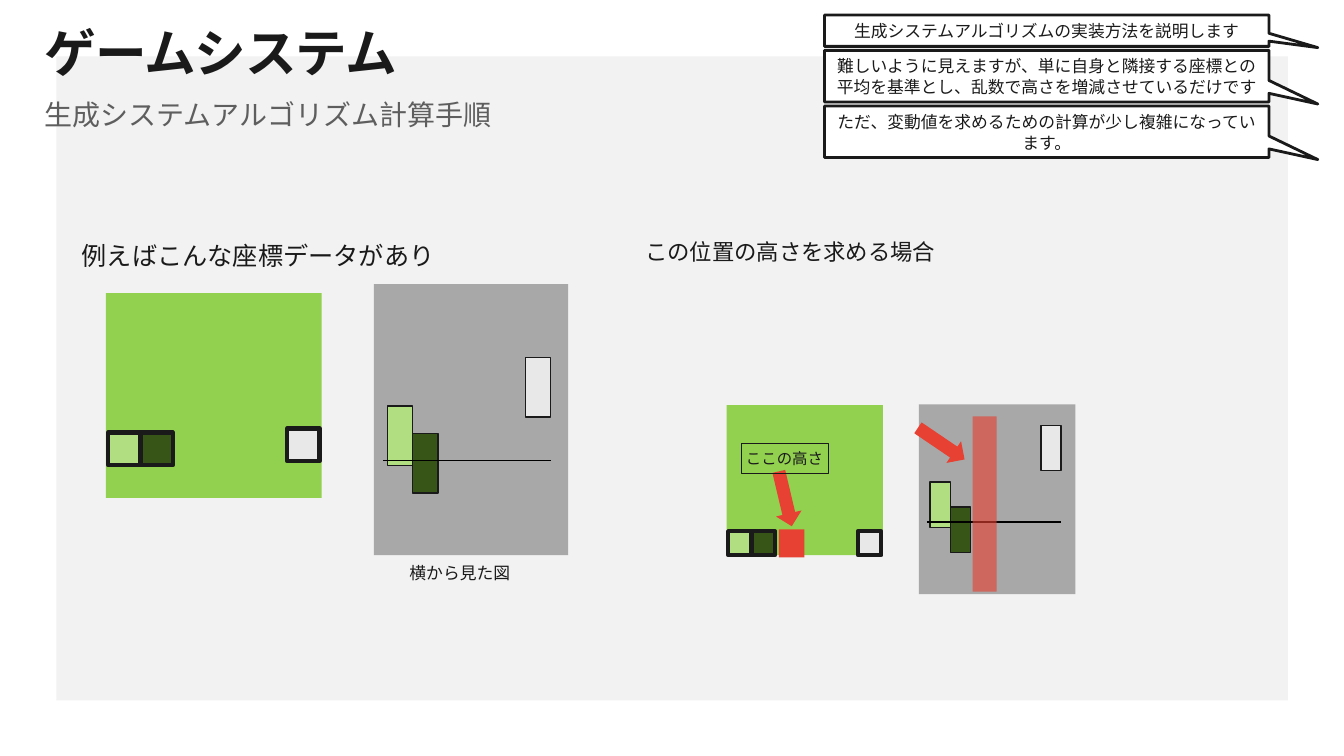
from lxml import etree
from pptx import Presentation
from pptx import util as u
from pptx.dml.color import RGBColor
from pptx.enum import shapes, text
from pptx.oxml.ns import qn

FONT = "Noto Sans CJK JP"
COLORS = {
    "panel": "F2F2F2", "ink": "1A1A1A", "muted": "5E5E5E", "white": "FFFFFF",
    "ground": "92D050", "side": "A8A8A8", "axis": "000000", "target": "E64132",
}
BLOCK_COLORS = ["B2DE82", "375517", "E8E8E8"]
RECTANGLE = shapes.MSO_SHAPE.RECTANGLE
ARROW = shapes.MSO_SHAPE.RIGHT_ARROW
CALLOUT = shapes.MSO_SHAPE.RECTANGULAR_CALLOUT
CENTER = text.PP_ALIGN.CENTER


def rgb(color):
    return RGBColor.from_string(COLORS.get(color, color))


def write(shape, words, size, color="ink", align=text.PP_ALIGN.LEFT,
          anchor=text.MSO_ANCHOR.MIDDLE, bold=False, line_spacing=None):
    frame = shape.text_frame
    frame.text = words
    frame.word_wrap = True
    frame.auto_size = text.MSO_AUTO_SIZE.NONE
    frame.vertical_anchor = anchor
    frame.margin_left = frame.margin_right = u.Cm(0.13)
    frame.margin_top = frame.margin_bottom = u.Cm(0.13)
    paragraph = frame.paragraphs[0]
    paragraph.alignment = align
    paragraph.line_spacing = line_spacing
    run = paragraph.runs[0]
    run.font.size = u.Pt(size)
    run.font.bold = bold
    run.font.color.rgb = rgb(color)
    run.font.name = FONT
    etree.SubElement(run.font._element, qn("a:ea"), typeface=FONT)
    return run


def add_label(slide, left, top, width, height, words, size, color="ink"):
    box = slide.shapes.add_textbox(u.Cm(left), u.Cm(top), u.Cm(width), u.Cm(height))
    write(box, words, size, color)


def add_block(slide, left, top, width, height, fill=None, line=None,
              kind=RECTANGLE, rotation=0):
    """Add a preset shape; line is the outline width in points."""
    shape = slide.shapes.add_shape(
        kind, u.Cm(left), u.Cm(top), u.Cm(width), u.Cm(height))
    shape.shadow.inherit = False
    shape.rotation = rotation
    if fill:
        shape.fill.solid()
        shape.fill.fore_color.rgb = rgb(fill)
    else:
        shape.fill.background()
    if line:
        shape.line.color.rgb = rgb("ink")
        shape.line.width = u.Pt(line)
    else:
        shape.line.fill.background()
    return shape


def add_header(slide, left, top):
    title = slide.shapes.title
    title.left, title.top = u.Cm(left), u.Cm(top)
    title.width, title.height = u.Cm(11.07), u.Cm(1.85)
    run = write(title, "ゲームシステム", 36.9, anchor=text.MSO_ANCHOR.TOP,
                bold=True, line_spacing=0.9)
    run.font._element.set("spc", "-80")
    add_label(slide, left, top + 1.75, 15.95, 1.12,
              "生成システムアルゴリズム計算手順", 20, "muted")


def add_callouts(slide, left, top, width):
    callouts = [
        ("生成システムアルゴリズムの実装方法を説明します", 0.79),
        ("難しいように見えますが、単に自身と隣接する座標との"
         "平均を基準とし、乱数で高さを増減させているだけです", 1.3),
        ("ただ、変動値を求めるための計算が少し複雑になっています。", 1.3),
    ]
    for words, height in callouts:
        callout = add_block(slide, left, top, width, height, "white", 2, CALLOUT)
        callout.adjustments[0], callout.adjustments[1] = 0.61, 0.54
        write(callout, words, 12, align=CENTER, line_spacing=u.Pt(15))
        top += height + 0.1


def add_map(slide, left, top, width, height, cell_tops):
    """Draw the ground from above; cell tops are fractions of its height."""
    add_block(slide, left, top, width, height, "ground")
    for x, y, color in zip([0.01, 0.16, 0.84], cell_tops, BLOCK_COLORS):
        add_block(slide, left + x * width, top + y * height,
                  0.15 * width, 0.16 * height, color, 3)


def add_side_view(slide, left, top, width, height, bar_tops, bar_height, axis):
    """Draw the heights from the side; bars and axis are fractions of the height."""
    add_block(slide, left, top, width, height, "side")
    for x, y, color in zip([0.07, 0.2, 0.78], bar_tops, BLOCK_COLORS):
        add_block(slide, left + x * width, top + y * height,
                  0.13 * width, bar_height * height, color, 1)
    axis_y = u.Cm(top + axis * height)
    line = slide.shapes.add_connector(
        shapes.MSO_CONNECTOR.STRAIGHT, u.Cm(left + 0.05 * width), axis_y,
        u.Cm(left + 0.91 * width), axis_y)
    line.line.color.rgb = rgb("axis")
    line.line.width = u.Pt(1)
    etree.SubElement(line._element.spPr, qn("a:effectLst"))


def add_example(slide, left, top):
    add_label(slide, left, top + 0.05, 9.17, 1.04, "例えばこんな座標データがあり", 18)
    add_map(slide, left + 0.74, top + 1.52, 5.44, 5.16, [0.68, 0.68, 0.66])
    add_side_view(slide, left + 7.49, top + 1.29, 4.9, 6.83,
                  [0.45, 0.55, 0.27], 0.22, 0.65)
    add_label(slide, left + 8.26, top + 8.18, 4.04, 0.79, "横から見た図", 12)


def add_target(slide, left, top):
    add_label(slide, left, top, 7.65, 0.94, "この位置の高さを求める場合", 16)
    add_map(slide, left + 2.18, top + 4.34, 3.94, 3.78, [0.84] * 3)
    add_block(slide, left + 3.5, top + 7.47, 0.64, 0.71, "target")
    add_side_view(slide, left + 7.03, top + 4.32, 3.94, 4.78,
                  [0.41, 0.54, 0.11], 0.24, 0.62)
    column = add_block(slide, left + 8.38, top + 4.62, 0.61, 4.42, "target")
    color = column._element.spPr.find(".//" + qn("a:srgbClr"))
    etree.SubElement(color, qn("a:alpha"), val="62000")
    for x, y, rotation in [(2.95, 6.37, 76.7), (6.88, 4.98, 34.1)]:
        add_block(slide, left + x, top + y, 1.42, 0.66, "target",
                  kind=ARROW, rotation=rotation)
    label = add_block(slide, left + 2.54, top + 5.31, 2.21, 0.74, line=0.25)
    write(label, "ここの高さ", 11)


def main():
    presentation = Presentation()
    presentation.slide_width, presentation.slide_height = u.Cm(33.87), u.Cm(19.05)
    slide = presentation.slides.add_slide(presentation.slide_layouts[5])
    panel = add_block(slide, 1.42, 1.42, 31.04, 16.23, "panel")
    slide.shapes.title.element.addprevious(panel.element)
    add_header(slide, 0.99, 0.56)
    add_callouts(slide, 20.78, 0.38, 11.2)
    add_example(slide, 1.93, 5.87)
    add_target(slide, 16.13, 5.87)
    presentation.save("out.pptx")


if __name__ == "__main__":
    main()
